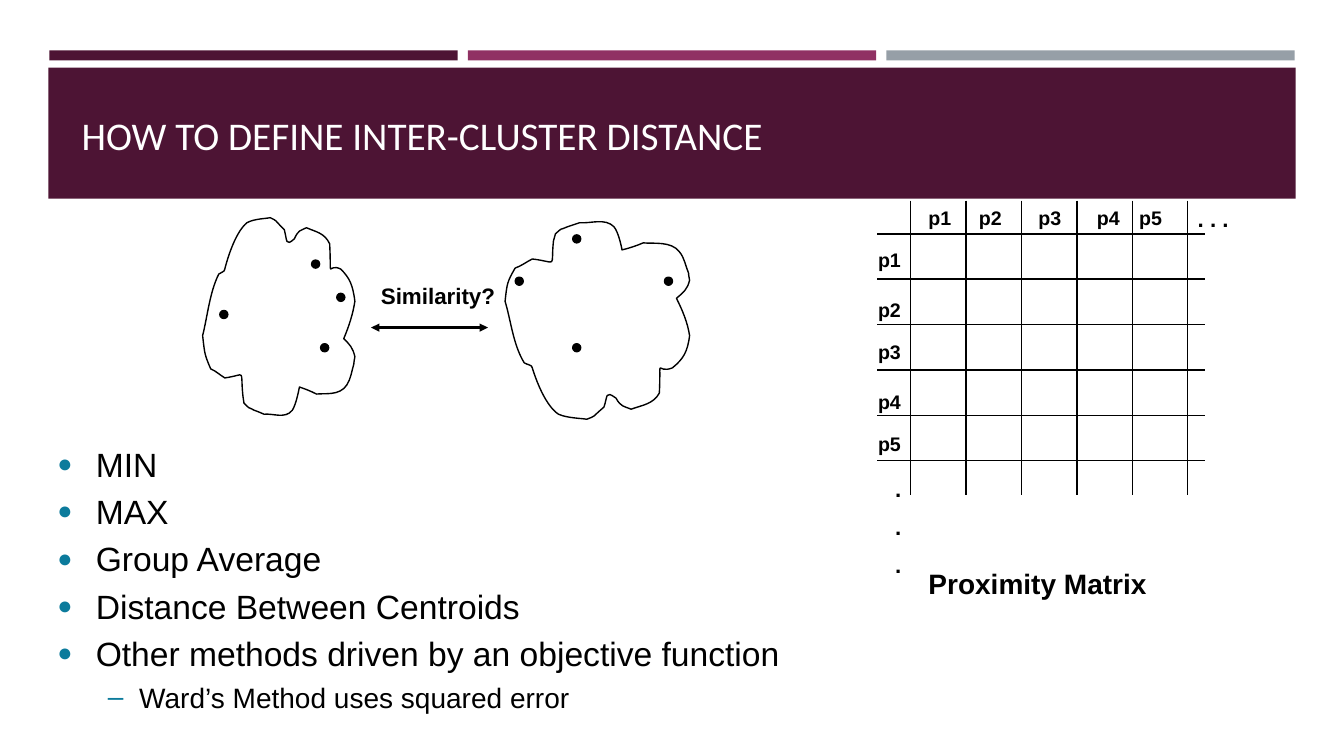
import lxml.etree
import pptx
import pptx.dml.color
import pptx.enum.shapes
import pptx.enum.text
import pptx.oxml.ns
import pptx.util

RGBColor = pptx.dml.color.RGBColor
SHAPES = pptx.enum.shapes.MSO_SHAPE
ANCHOR = pptx.enum.text.MSO_ANCHOR
qn = pptx.oxml.ns.qn

PLUM = RGBColor(0x4D, 0x14, 0x34)
MAGENTA = RGBColor(0x90, 0x31, 0x63)
GREY = RGBColor(0x96, 0x9F, 0xA7)
TEAL = RGBColor(0x0C, 0x7B, 0x9C)
BLACK = RGBColor(0, 0, 0)
WHITE = RGBColor(255, 255, 255)

EMU_PER_PX = 9144  # 100 px to the inch

# Start point, then (control, control, end) for each curve of a cluster outline.
CLUSTER_START = (217, 272)
CLUSTER_CURVES = [
    (208, 290), (206, 313), (201, 333), (203, 351), (203, 352), (209, 366),
    (214, 368), (218, 372), (223, 375), (245, 372), (238, 365), (241, 393),
    (241, 395), (242, 398), (242, 400), (249, 407), (245, 403), (252, 407),
    (255, 408), (262, 411), (262, 411), (271, 410), (283, 416), (290, 407),
    (294, 401), (297, 384), (297, 384), (303, 386), (308, 388), (314, 391),
    (322, 390), (337, 393), (344, 382), (348, 376), (349, 368), (351, 361),
    (351, 359), (352, 354), (352, 354), (350, 345), (347, 342), (341, 336),
    (346, 324), (350, 312), (352, 299), (350, 283), (347, 276), (338, 267),
    (324, 260), (329, 282), (327, 242), (322, 231), (313, 230), (304, 226),
    (298, 229), (296, 228), (292, 237), (283, 245), (285, 239), (282, 228),
    (271, 217), (276, 220), (268, 216), (264, 217), (252, 217), (245, 221),
    (235, 229), (227, 251), (223, 267), (223, 270), (219, 270), (217, 272),
]


def px(length):
    return pptx.util.Emu(round(length * EMU_PER_PX))


def write(para, text, *, size, font="Arial", color=BLACK, bold=False, before=0, after=0):
    para.space_before = pptx.util.Pt(before)
    para.space_after = pptx.util.Pt(after)
    span = para.add_run()
    span.text = text
    span.font.name = font
    span.font.size = pptx.util.Pt(size)
    span.font.bold = bold
    span.font.color.rgb = color


def add_bullet(para, char, percent, margin, hanging):
    props = para._p.get_or_add_pPr()
    props.set("marL", str(px(margin)))
    props.set("indent", str(-px(hanging)))
    color = lxml.etree.SubElement(props, qn("a:buClr"))
    lxml.etree.SubElement(color, qn("a:srgbClr"), val=str(TEAL))
    lxml.etree.SubElement(props, qn("a:buSzPct"), val=str(percent * 1000))
    lxml.etree.SubElement(props, qn("a:buFont"), typeface="Arial")
    lxml.etree.SubElement(props, qn("a:buChar"), char=char)


class SlideBuilder:
    ink = BLACK
    thin = pptx.util.Pt(1)

    def __init__(self, deck):
        self.page = deck.slides.add_slide(deck.slide_layouts[1])
        self.shapes = self.page.shapes

    def place(self, holder, left, top, width, height, anchor):
        """Move a placeholder to its spot, in front of everything so far."""
        holder.left, holder.top = px(left), px(top)
        holder.width, holder.height = px(width), px(height)
        frame = holder.text_frame
        frame.auto_size = pptx.enum.text.MSO_AUTO_SIZE.NONE
        frame.vertical_anchor = anchor
        self.shapes.element.append(holder.element)
        return frame

    def title(self, text, *spot):
        para = self.place(self.shapes.title, *spot, ANCHOR.BOTTOM).paragraphs[0]
        para.alignment = pptx.enum.text.PP_ALIGN.LEFT
        write(para, text, size=28, font="Calibri", color=WHITE)

    def bullets(self, items, *spot):
        frame = self.place(self.page.placeholders[1], *spot, ANCHOR.TOP)
        for index, (level, text) in enumerate(items):
            para = frame.add_paragraph() if index else frame.paragraphs[0]
            para.level = level
            add_bullet(para, *(("–", 100, 81, 31) if level else ("●", 75, 38, 38)))
            write(para, text, size=20 if level else 24, before=2 if index else 0, after=3)

    def label(self, lines, left, top, width, height, size):
        box = self.shapes.add_textbox(px(left), px(top), px(width), px(height))
        frame = box.text_frame
        frame.word_wrap = True
        for index, text in enumerate(lines):
            para = frame.add_paragraph() if index else frame.paragraphs[0]
            write(para, text, size=size, bold=True, before=size / 2 if index else 0)

    def filled(self, preset, left, top, width, height, color):
        shape = self.shapes.add_shape(preset, px(left), px(top), px(width), px(height))
        shape.shadow.inherit = False
        shape.fill.solid()
        shape.fill.fore_color.rgb = color
        shape.line.fill.background()
        return shape

    def point(self, left, top):
        dot = self.filled(SHAPES.OVAL, left, top, 8, 8, self.ink)
        dot.line.color.rgb = self.ink
        dot.line.width = self.thin

    def line(self, x1, y1, x2, y2, points=1, arrows=False):
        line = self.shapes.add_connector(
            pptx.enum.shapes.MSO_CONNECTOR.STRAIGHT, px(x1), px(y1), px(x2), px(y2))
        line.line.color.rgb = self.ink
        line.line.width = pptx.util.Pt(points)
        props = line.element.spPr
        if arrows:
            for end in ("a:headEnd", "a:tailEnd"):
                lxml.etree.SubElement(props.find(qn("a:ln")), qn(end), type="triangle")
        lxml.etree.SubElement(props, qn("a:effectLst"))

    def cluster(self, transform):
        """Draw the cluster outline with each point passed through transform."""
        builder = self.shapes.build_freeform(*transform(*CLUSTER_START), scale=EMU_PER_PX)
        builder.add_line_segments([transform(x, y) for x, y in CLUSTER_CURVES], close=True)
        outline = builder.convert_to_shape()
        outline.shadow.inherit = False
        outline.fill.background()
        outline.line.color.rgb = self.ink
        outline.line.width = self.thin
        segments = list(outline.element.iter(qn("a:lnTo")))
        for first in range(0, len(segments), 3):
            curve = lxml.etree.Element(qn("a:cubicBezTo"))
            segments[first].addprevious(curve)
            for segment in segments[first:first + 3]:
                curve.append(segment[0])
                segment.getparent().remove(segment)


def draw_matrix(slide):
    for index in range(6):
        x, y = 903 + 55 * index, 232 + 45 * index
        slide.line(x, 199, x, 491)
        slide.line(870, y, 1195, y)
    column_lefts = (911, 961, 1020, 1078, 1120)
    row_tops = (241, 291, 332, 382, 424)
    for number, (left, top) in enumerate(zip(column_lefts, row_tops), 1):
        slide.label([f"p{number}"], left, 199, 58, 33, 14)
        slide.label([f"p{number}"], 861, top, 58, 33, 14)
    slide.label([". . ."], 1178, 199, 58, 37, 16)
    slide.label(["."] * 3, 878, 466, 58, 117, 16)
    slide.label(["Proximity Matrix"], 911, 557, 275, 43, 20)


def draw_clusters(slide):
    slide.line(368, 325, 484, 325, points=2, arrows=True)
    slide.label(["Similarity?"], 368, 275, 158, 37, 16)
    slide.cluster(lambda x, y: (x, y))
    # The second cluster is the first one widened and turned upside down.
    slide.cluster(lambda x, y: (round(501 + (x - 201) * 183 / 151), 632 - y))
    for left, top in ((318, 341), (309, 258), (218, 308), (334, 291),
                      (659, 275), (511, 275), (568, 341), (568, 233)):
        slide.point(left, top)


def main():
    deck = pptx.Presentation()
    deck.slide_width, deck.slide_height = px(1333), px(750)
    slide = SlideBuilder(deck)
    for index, color in enumerate((PLUM, MAGENTA, GREY)):
        slide.filled(SHAPES.RECTANGLE, 49 + 415 * index, 50, 405, 10, color)
    slide.filled(SHAPES.RECTANGLE, 48, 67, 1237, 130, PLUM)
    slide.title("HOW TO DEFINE INTER-CLUSTER DISTANCE", 71, 102, 906, 60)
    draw_matrix(slide)
    draw_clusters(slide)
    slide.bullets([
        (0, "MIN"),
        (0, "MAX"),
        (0, "Group Average"),
        (0, "Distance Between Centroids"),
        (0, "Other methods driven by an objective function"),
        (1, "Ward’s Method uses squared error"),
    ], 47, 435, 767, 339 - 30)
    deck.save("out.pptx")


if __name__ == "__main__":
    main()
